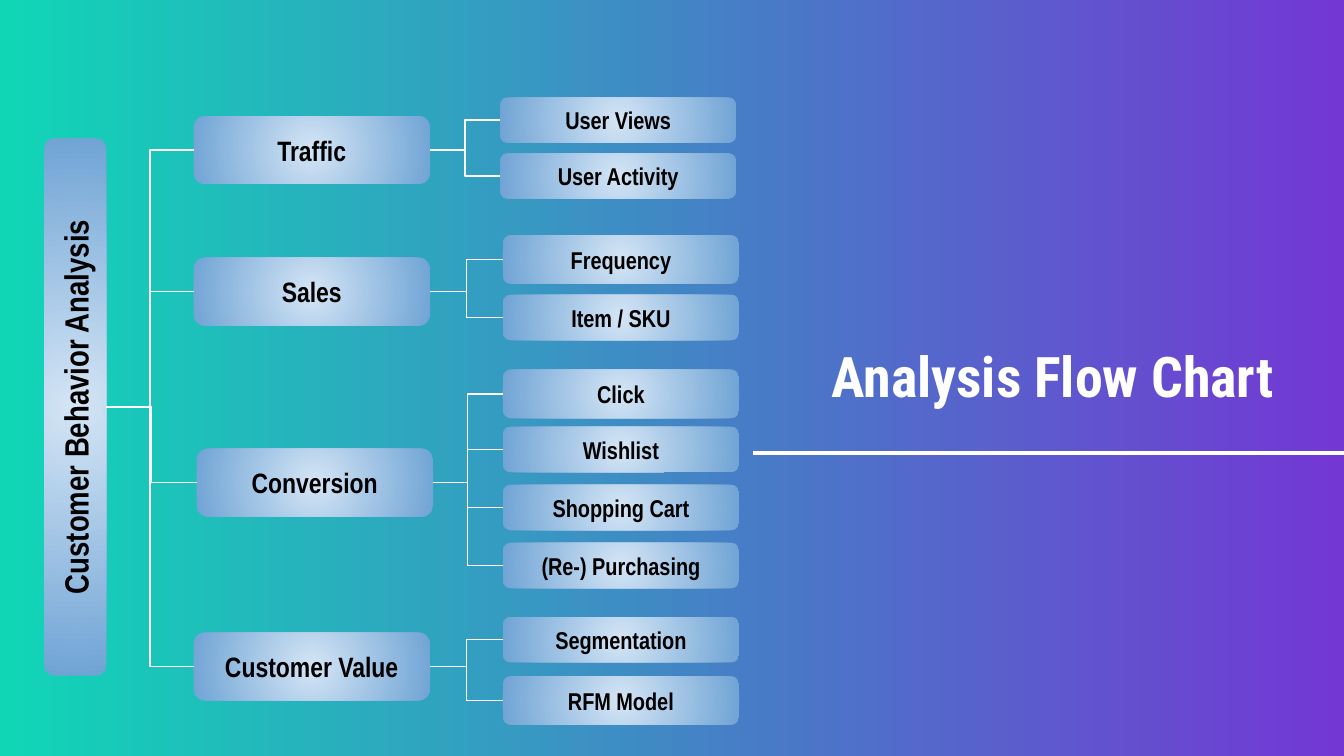
from lxml import etree
from pptx import Presentation
from pptx.dml.color import RGBColor
from pptx.enum.shapes import MSO_CONNECTOR, MSO_SHAPE
from pptx.enum.text import MSO_ANCHOR, MSO_AUTO_SIZE, PP_ALIGN
from pptx.oxml.ns import qn
from pptx.util import Pt

ROUNDED = MSO_SHAPE.ROUNDED_RECTANGLE
ELBOW, STRAIGHT = MSO_CONNECTOR.ELBOW, MSO_CONNECTOR.STRAIGHT
CENTER, LEFT = PP_ALIGN.CENTER, PP_ALIGN.LEFT
MIDDLE, BOTTOM = MSO_ANCHOR.MIDDLE, MSO_ANCHOR.BOTTOM
NO_AUTOFIT = MSO_AUTO_SIZE.NONE

WHITE = RGBColor(0xFF, 0xFF, 0xFF)
BLACK = RGBColor(0x00, 0x00, 0x00)
TEAL = RGBColor(0x10, 0xD6, 0xB6)
VIOLET = RGBColor(0x73, 0x37, 0xD4)
PALE_BLUE = RGBColor(0xD4, 0xE5, 0xF5)
MID_BLUE = RGBColor(0x70, 0xA4, 0xD5)

TITLE = " Analysis Flow Chart"
ROOT = "Customer Behavior Analysis"
LOW, TALL = 24.2, 26
BRANCHES = [
    ("Traffic", 103.7, 62.2, 267.8,
     [("User Views", 52.3, LOW), ("User Activity", 82.2, LOW)]),
    ("Sales", 103.7, 138.1, 269.3,
     [("Frequency", 126, TALL), ("Item / SKU", 158, LOW)]),
    ("Conversion", 105.3, 240.4, 269.3,
     [("Click", 198, TALL), ("Wishlist", 228.7, LOW),
      ("Shopping Cart", 259.8, LOW), ("(Re-) Purchasing", 290.9, LOW)]),
    ("Customer Value", 103.7, 338.9, 269.3,
     [("Segmentation", 330.6, LOW), ("RFM Model", 362.3, TALL)]),
]
BOX_WIDTH, BRANCH_HEIGHT = 126.7, 36.4
ROOT_LENGTH, ROOT_THICKNESS = 288, 33.2
ROOT_CENTER_X, ROOT_CENTER_Y = 40.3, 218
LEFT_SITE, RIGHT_SITE = 1, 3

prs = Presentation()
prs.slide_width, prs.slide_height = Pt(720), Pt(405)
slide = prs.slides.add_slide(prs.slide_layouts[0])
shapes = slide.shapes
subtitle = slide.placeholders[1].element
subtitle.getparent().remove(subtitle)


def set_gradient(fill, start, end):
    fill.gradient()
    for stop, color, position in zip(fill.gradient_stops, (start, end), (0, 1)):
        stop.color.rgb = color
        stop.position = position


def set_text(frame, text, size, font_name, color, align, anchor):
    frame.text = text
    frame.word_wrap = True
    frame.auto_size = NO_AUTOFIT
    frame.vertical_anchor = anchor
    frame.margin_left = frame.margin_right = Pt(7.2)
    frame.margin_top = frame.margin_bottom = Pt(7.2)
    paragraph = frame.paragraphs[0]
    paragraph.alignment = align
    font = paragraph.runs[0].font
    font.size, font.name, font.bold = Pt(size), font_name, True
    font.color.rgb = color


def add_box(text, left, top, width, height, size):
    box = shapes.add_shape(ROUNDED, Pt(left), Pt(top), Pt(width), Pt(height))
    box.shadow.inherit = False
    box.line.fill.background()
    set_gradient(box.fill, PALE_BLUE, MID_BLUE)
    linear = box.element.spPr.find(".//" + qn("a:lin"))
    radial = etree.Element(qn("a:path"), path="circle")
    etree.SubElement(radial, qn("a:fillToRect"), l="50000", t="50000", r="50000", b="50000")
    linear.getparent().replace(linear, radial)
    set_text(box.text_frame, text, size, "Arial Narrow", BLACK, CENTER, MIDDLE)
    return box


def add_line(kind, x1, y1, x2, y2, width):
    line = shapes.add_connector(kind, Pt(x1), Pt(y1), Pt(x2), Pt(y2))
    line.line.color.rgb = WHITE
    line.line.width = Pt(width)
    etree.SubElement(line.element.spPr, qn("a:effectLst"))
    return line


background = slide.background.fill
set_gradient(background, TEAL, VIOLET)
background.gradient_angle = 0
teal_stop = slide.element.find(".//" + qn("p:bg")).find(".//" + qn("a:srgbClr"))
etree.SubElement(teal_stop, qn("a:alpha"), val="71000")

title = shapes.title
title.left, title.top, title.width, title.height = Pt(431.3), Pt(180.7), Pt(259.2), Pt(45.4)
set_text(title.text_frame, TITLE, 30, "Roboto Condensed", WHITE, LEFT, BOTTOM)
add_line(STRAIGHT, 720, 242.6, 403.2, 242.6, 2.25)

root = add_box(ROOT, ROOT_CENTER_X - ROOT_LENGTH / 2, ROOT_CENTER_Y - ROOT_THICKNESS / 2,
               ROOT_LENGTH, ROOT_THICKNESS, 18)
root.rotation = 270
root_right = ROOT_CENTER_X + ROOT_THICKNESS / 2

for name, left, top, leaf_left, leaves in BRANCHES:
    branch = add_box(name, left, top, BOX_WIDTH, BRANCH_HEIGHT, 15)
    branch_middle = top + BRANCH_HEIGHT / 2
    trunk = add_line(ELBOW, root_right, ROOT_CENTER_Y, left, branch_middle, 0.75)
    trunk.end_connect(branch, LEFT_SITE)
    for leaf_name, leaf_top, leaf_height in leaves:
        leaf = add_box(leaf_name, leaf_left, leaf_top, BOX_WIDTH, leaf_height, 13)
        twig = add_line(ELBOW, left + BOX_WIDTH, branch_middle,
                        leaf_left, leaf_top + leaf_height / 2, 0.75)
        twig.begin_connect(branch, RIGHT_SITE)
        twig.end_connect(leaf, LEFT_SITE)

prs.save("out.pptx")
